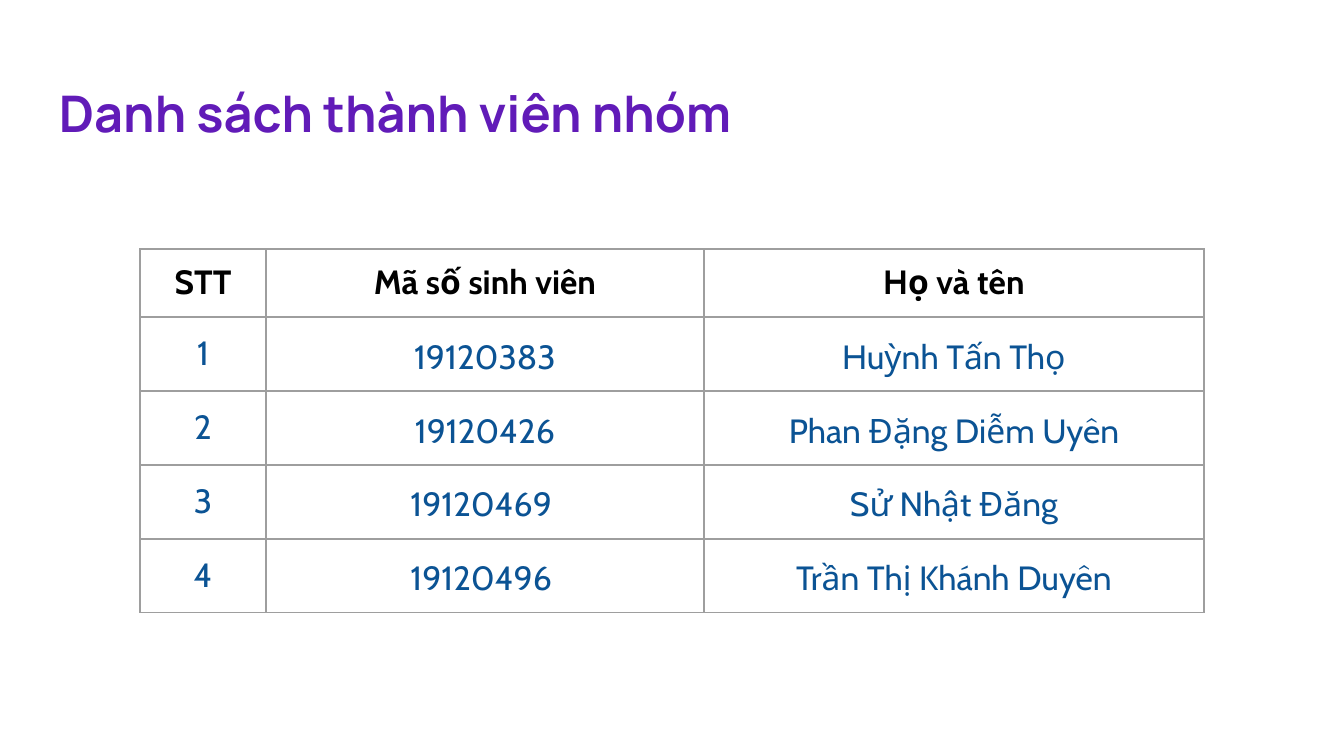
from lxml.etree import SubElement
from pptx import Presentation
from pptx.dml.color import RGBColor
from pptx.enum.text import MSO_ANCHOR, PP_ALIGN
from pptx.oxml.ns import qn
from pptx.util import Emu, Pt

EMU_PER_PX = 914400 / 134.4
PURPLE = RGBColor(0x61, 0x1B, 0xB8)
BLUE = RGBColor(0x0B, 0x53, 0x94)
BLACK = RGBColor(0x00, 0x00, 0x00)
GREY = RGBColor(0x9E, 0x9E, 0x9E)
INSET = 13

HEADINGS = ("STT", "Mã số sinh viên", "Họ và tên")
MEMBERS = (
    ("1", "19120383", "Huỳnh Tấn Thọ"),
    ("2", "19120426", "Phan Đặng Diễm Uyên"),
    ("3", "19120469 ", "Sử Nhật Đăng"),
    ("4", "19120496 ", "Trần Thị Khánh Duyên"),
)
COLUMN_WIDTHS = (126, 438, 500)
HEADER_HEIGHT = 68


def px(length):
    return Emu(round(length * EMU_PER_PX))


def style_runs(paragraph, font_name, size, color, bold):
    for run in paragraph.runs:
        run.font.name = font_name
        run.font.size = Pt(size)
        run.font.color.rgb = color
        run.font.bold = bold


def set_insets(holder):
    holder.margin_left = holder.margin_right = px(INSET)
    holder.margin_top = holder.margin_bottom = px(INSET)


def add_title(slide, left, top, width, height):
    title = slide.shapes.add_textbox(px(left), px(top), px(width), px(height))
    frame = title.text_frame
    frame.word_wrap = True
    frame.vertical_anchor = MSO_ANCHOR.MIDDLE
    set_insets(frame)
    frame.text = "Danh sách thành viên nhóm"
    style_runs(frame.paragraphs[0], "Manrope", 27, PURPLE, True)


def add_borders(cell):
    properties = cell._tc.get_or_add_tcPr()
    for side in ("a:lnL", "a:lnR", "a:lnT", "a:lnB"):
        line = SubElement(properties, qn(side), w=str(Pt(0.75)))
        fill = SubElement(line, qn("a:solidFill"))
        SubElement(fill, qn("a:srgbClr"), val=str(GREY))


def fill_cell(cell, content, is_heading, is_spaced):
    """Write one cell; spaced cells have looser lines and space after."""
    set_insets(cell)
    cell.vertical_anchor = MSO_ANCHOR.MIDDLE
    add_borders(cell)
    cell.fill.background()
    cell.text_frame.text = content
    paragraph = cell.text_frame.paragraphs[0]
    paragraph.alignment = PP_ALIGN.CENTER
    if is_spaced:
        paragraph.line_spacing = 1.15
        paragraph.space_after = Pt(12)
    style_runs(paragraph, "Cabin", 18, BLACK if is_heading else BLUE, is_heading)


def add_member_table(slide, left, top, height):
    rows = (HEADINGS, *MEMBERS)
    members = slide.shapes.add_table(
        len(rows), len(HEADINGS),
        px(left), px(top), px(sum(COLUMN_WIDTHS)), px(height),
    ).table
    members.first_row = False
    members.horz_banding = False
    for column, width in zip(members.columns, COLUMN_WIDTHS):
        column.width = px(width)
    member_height = (height - HEADER_HEIGHT) / len(MEMBERS)
    for r, contents in enumerate(rows):
        members.rows[r].height = px(member_height if r else HEADER_HEIGHT)
        for c, content in enumerate(contents):
            fill_cell(members.cell(r, c), content, r == 0, r > 0 and c > 0)


def main():
    presentation = Presentation()
    presentation.slide_width = px(1344)
    presentation.slide_height = px(756)
    slide = presentation.slides.add_slide(presentation.slide_layouts[6])
    add_title(slide, 46, 66, 1253, 92)
    add_member_table(slide, 140, 249, 364)
    presentation.save("out.pptx")


if __name__ == "__main__":
    main()
